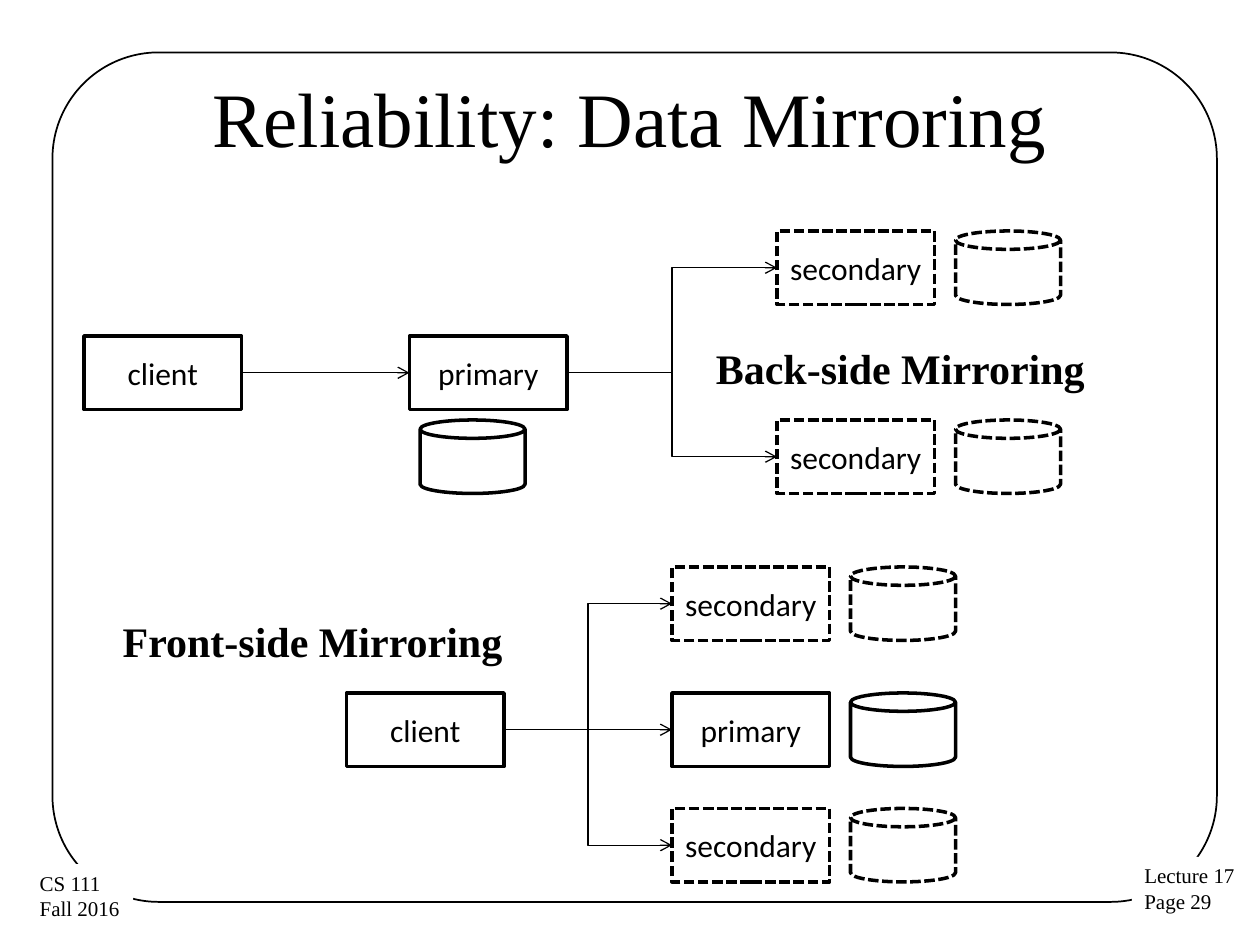
from pptx import Presentation
from pptx.dml.color import RGBColor
from pptx.enum.dml import MSO_LINE as Dash
from pptx.enum.shapes import MSO_CONNECTOR as Conn, MSO_SHAPE as Kind
from pptx.enum.text import MSO_ANCHOR as Anchor, PP_ALIGN as Align
from pptx.oxml.ns import qn
from pptx.util import Pt
from lxml.etree import SubElement as Sub

PX = 7620
BLACK = RGBColor(0, 0, 0)
WHITE = RGBColor(255, 255, 255)
BOX_W, CAN_W, HIGH = 150, 100, 70
SERIF = "Times New Roman"
TITLE = {"name": SERIF, "size": Pt(44)}
HEAD = {"name": SERIF, "size": Pt(24), "bold": True}
NOTE = {"name": SERIF, "size": Pt(12)}
LABEL = {"name": "Calibri", "size": Pt(18)}
SOLID = {"width": Pt(2)}
DASHED = {"width": Pt(2), "dash_style": Dash.SQUARE_DOT}
THIN = {"width": Pt(0.75)}


def scale(*vals):
    return [v * PX for v in vals]


def apply(obj, form):
    for key, val in form.items():
        setattr(obj, key, val)


def ink(line, form):
    line.fill.solid()
    line.color.rgb = BLACK
    apply(line, form)


def write(shape, rows, font, align=Align.LEFT, anchor=Anchor.TOP, wrap=True):
    frame = shape.text_frame
    apply(frame, {"text": "\n".join(rows), "word_wrap": wrap,
                  "vertical_anchor": anchor})
    for para in frame.paragraphs:
        para.alignment = align
        apply(para.font, font)
        para.font.color.rgb = BLACK


def add_form(slide, kind, area, line):
    shape = slide.shapes.add_shape(kind, *scale(*area))
    shape.shadow.inherit = False
    shape.fill.background()
    ink(shape.line, line)
    return shape


def add_text(slide, area, rows, font, **form):
    box = slide.shapes.add_textbox(*scale(*area))
    write(box, rows, font, **form)
    return box


def add_note(slide, area, rows):
    box = add_text(slide, area, rows, NOTE, wrap=False)
    box.fill.solid()
    box.fill.fore_color.rgb = WHITE


def add_node(slide, x, y, word, line=SOLID):
    node = add_form(slide, Kind.RECTANGLE, (x, y, BOX_W, HIGH), line)
    write(node, [word], LABEL, Align.CENTER, Anchor.MIDDLE)
    return node


def add_disk(slide, x, y, line=SOLID):
    add_form(slide, Kind.CAN, (x, y, CAN_W, HIGH), line)


def add_store(slide, x, y, word, line):
    add_disk(slide, x + BOX_W + 20, y, line)
    return add_node(slide, x, y, word, line)


def add_link(slide, start, end):
    kind = Conn.STRAIGHT if start.top == end.top else Conn.ELBOW
    link = slide.shapes.add_connector(kind, 0, 0, 0, 0)
    link.begin_connect(start, 3)
    link.end_connect(end, 1)
    ink(link.line, THIN)
    Sub(link.line._get_or_add_ln(), qn("a:tailEnd"), type="arrow")
    Sub(link._element.spPr, qn("a:effectLst"))


def add_base(slide):
    frame = add_form(slide, Kind.ROUNDED_RECTANGLE, (50, 50, 1109, 809),
                     {"width": Pt(1)})
    frame.adjustments[0] = 0.125
    add_note(slide, (1078, 816, 112, 61), ["Lecture 17", "Page 29"])
    add_note(slide, (26, 823, 101, 61), ["CS 111", "Fall 2016"])
    add_text(slide, (60, 36, 1080, 150), ["Reliability: Data Mirroring"],
             TITLE, align=Align.CENTER, anchor=Anchor.MIDDLE)


def add_back(slide):
    client = add_node(slide, 80, 320, "client")
    main = add_node(slide, 390, 320, "primary")
    add_disk(slide, 400, 400)
    add_link(slide, client, main)
    for y in (220, 400):
        add_link(slide, main, add_store(slide, 740, y, "secondary", DASHED))
    add_text(slide, (670, 320, 420, 60), ["Back-side Mirroring"], HEAD)


def add_front(slide):
    client = add_node(slide, 330, 660, "client")
    for y, word, line in ((540, "secondary", DASHED),
                          (660, "primary", SOLID),
                          (770, "secondary", DASHED)):
        add_link(slide, client, add_store(slide, 640, y, word, line))
    add_text(slide, (105, 580, 420, 60), ["Front-side Mirroring"], HEAD)


def main():
    deck = Presentation()
    apply(deck, {"slide_width": 1200 * PX, "slide_height": 900 * PX})
    slide = deck.slides.add_slide(deck.slide_layouts[6])
    for part in (add_base, add_back, add_front):
        part(slide)
    deck.save("out.pptx")


if __name__ == "__main__":
    main()
